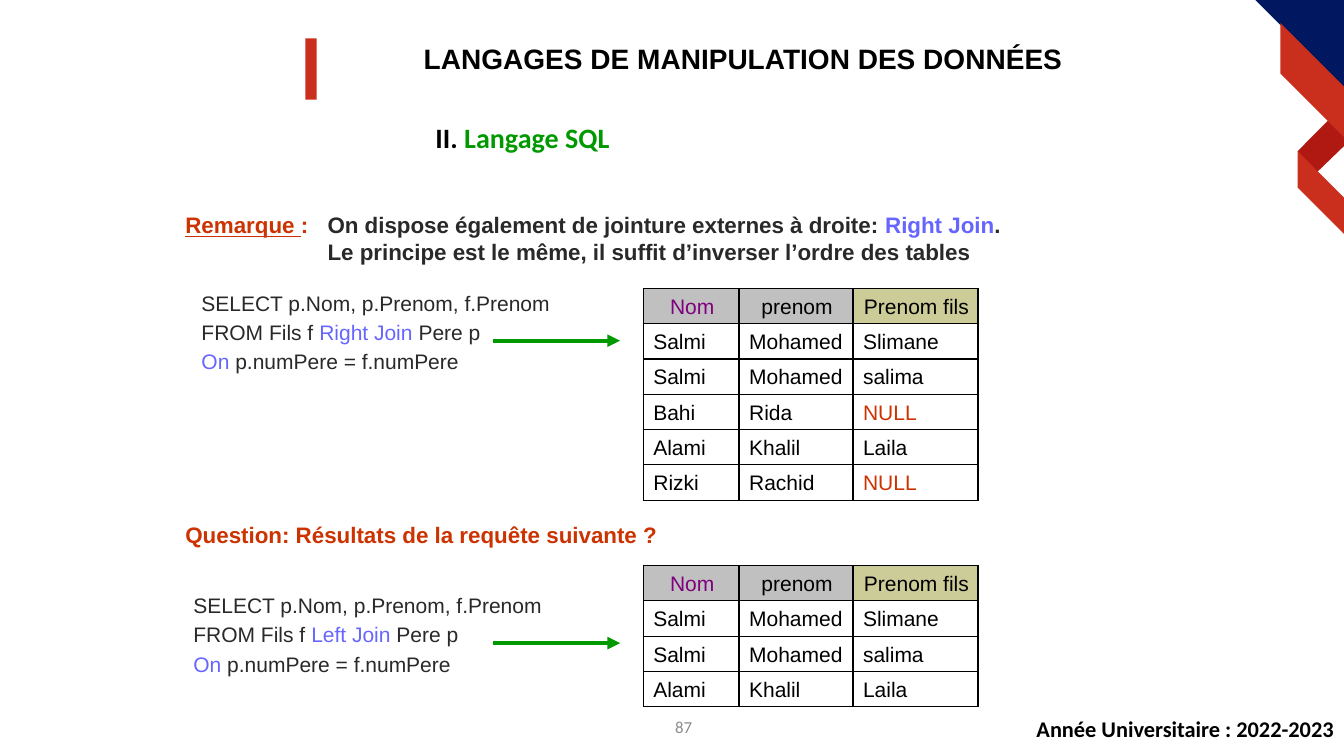
from dataclasses import dataclass

from lxml import etree
from pptx import Presentation
from pptx import util as u
from pptx.dml.color import RGBColor
from pptx.enum import shapes, text
from pptx.oxml import parse_xml
from pptx.oxml.ns import nsdecls, qn


@dataclass
class Theme:
    black: str = "000000"
    white: str = "FFFFFF"
    dark: str = "292929"
    grey: str = "8C8C8C"
    green: str = "009900"
    keyword: str = "6666FF"
    alert: str = "CC3300"
    purple: str = "800080"
    header: str = "C0C0C0"
    header_son: str = "CCCC99"
    navy: str = "011760"
    red: str = "CA2F1D"
    deep_red: str = "B01912"
    heading: int = 20
    body: int = 16
    code: int = 15
    small: int = 12
    sans: str = "Arial"
    foot: str = "Calibri"


class SlideBuilder:
    def __init__(self, prs, theme):
        self.t = theme
        self.s = prs.slides.add_slide(prs.slide_layouts[6])

    def paint(self, sp, color):
        sp.shadow.inherit = False
        sp.fill.solid()
        sp.fill.fore_color.rgb = RGBColor.from_string(color)
        sp.line.fill.background()

    def polygon(self, points, color):
        points = [(u.Inches(x), u.Inches(y)) for x, y in points]
        fb = self.s.shapes.build_freeform(*points[0])
        fb.add_line_segments(points[1:], close=True)
        self.paint(fb.convert_to_shape(), color)

    def bar(self, box, color):
        sp = self.s.shapes.add_shape(shapes.MSO_SHAPE.RECTANGLE, *map(u.Inches, box))
        self.paint(sp, color)

    def runs(self, p, parts, **base):
        """Each part is (text, color) or (text, color, extra font values)."""
        for words, color, *extra in parts:
            r = p.add_run()
            r.text = words
            for name, value in {**base, **(extra[0] if extra else {})}.items():
                setattr(r.font, name, value)
            r.font.color.rgb = RGBColor.from_string(color)

    def text(self, box, lines, size, font=None, bold=False, anchor="TOP", hang=None, **fmt):
        tf = self.s.shapes.add_textbox(*map(u.Inches, box)).text_frame
        tf.word_wrap = True
        tf.vertical_anchor = text.MSO_ANCHOR[anchor]
        for i, parts in enumerate(lines):
            p = tf.paragraphs[0] if i == 0 else tf.add_paragraph()
            for name, value in fmt.items():
                if i or name != "space_before":
                    setattr(p, name, value)
            if hang:
                pPr = p._p.get_or_add_pPr()
                pPr.set("marL", str(u.Inches(hang)))
                pPr.set("indent", str(0 if i else -u.Inches(hang)))
            self.runs(p, parts, size=u.Pt(size), name=font or self.t.sans, bold=bold)

    def query(self, left, top, join):
        t = self.t
        lines = [
            [("SELECT p.Nom, p.Prenom, f.Prenom", t.dark)],
            [("FROM Fils f ", t.dark), (join + " ", t.keyword), ("Pere p", t.dark)],
            [("On", t.keyword), (" p.numPere = f.numPere", t.dark)],
        ]
        self.text((left, top, 3.86, 1.1), lines, t.code, space_before=u.Pt(3))

    def arrow(self, y):
        ends = map(u.Inches, (4.89, y, 6.15, y))
        c = self.s.shapes.add_connector(shapes.MSO_CONNECTOR.STRAIGHT, *ends)
        c.line.color.rgb = RGBColor.from_string(self.t.green)
        c.line.width = u.Pt(3)
        etree.SubElement(c.line._get_or_add_ln(), qn("a:tailEnd"), type="triangle")
        etree.SubElement(c._element.spPr, qn("a:effectLst"))

    def borders(self, cell):
        for side in ("lnL", "lnR", "lnT", "lnB"):
            cell._tc.get_or_add_tcPr().append(parse_xml(
                f'<a:{side} {nsdecls("a")} w="{u.Pt(1)}"><a:solidFill>'
                f'<a:srgbClr val="{self.t.black}"/></a:solidFill></a:{side}>'))

    def table(self, top, rows):
        t, widths, height = self.t, (0.95, 1.13, 1.24), 0.35
        rows = [("Nom", "prenom", "Prenom fils")] + rows
        box = (6.38, top, sum(widths), height * len(rows))
        tb = self.s.shapes.add_table(len(rows), len(widths), *map(u.Inches, box)).table
        tb.first_row = tb.horz_banding = False
        for col, width in zip(tb.columns, widths):
            col.width = u.Inches(width)
        for i, row in enumerate(rows):
            tb.rows[i].height = u.Inches(height)
            for j, words in enumerate(row):
                cell = tb.cell(i, j)
                self.borders(cell)
                cell.vertical_anchor = text.MSO_ANCHOR.BOTTOM
                cell.margin_right = u.Inches(0.08)
                color, fill = t.black, t.white
                if words == "NULL":
                    color = t.alert
                p = cell.text_frame.paragraphs[0]
                if i == 0:
                    color = t.purple if j == 0 else t.black
                    fill = t.header_son if j == 2 else t.header
                    p.alignment = text.PP_ALIGN.CENTER
                cell.fill.solid()
                cell.fill.fore_color.rgb = RGBColor.from_string(fill)
                self.runs(p, [(words, color)], size=u.Pt(t.code), name=t.sans)


def main():
    prs = Presentation()
    prs.slide_width, prs.slide_height = u.Inches(13.33), u.Inches(7.5)
    t = Theme()
    b = SlideBuilder(prs, t)
    center, right = text.PP_ALIGN.CENTER, text.PP_ALIGN.RIGHT

    # Corner ribbon
    b.polygon([(13.19, 1.18), (13.33, 1.35), (13.33, 1.45), (13.05, 1.72), (12.87, 1.5)],
              t.deep_red)
    b.polygon([(12.45, 0), (13.33, 0), (13.33, 0.88)], t.navy)
    for x, y, depth in ((12.87, 1.5, 0.36), (12.7, 0.23, 0.5)):
        drop = 13.33 - x
        b.polygon([(x, y), (13.33, y + drop), (13.33, y + drop + depth), (x, y + depth)], t.red)

    # Title and section
    b.bar((3.03, 0.38, 0.11, 0.61), t.red)
    b.text((3.42, 0.4, 7.9, 0.65), [[("LANGAGES DE MANIPULATION DES DONNÉES", t.black)]],
           t.heading, bold=True, alignment=center, line_spacing=0.9)
    b.text((4.22, 1.18, 5, 0.42), [[("II. ", t.black), ("Langage SQL", t.green)]],
           t.heading, t.foot, bold=True, line_spacing=0.9)

    # Footer
    b.text((9.33, 7.08, 4, 0.36), [[("Année Universitaire : 2022-2023", t.black)]],
           t.body, t.foot, bold=True, alignment=right, line_spacing=0.9)
    b.text((5.28, 7.01, 3, 0.4), [[("87", t.grey)]], t.small, t.foot,
           anchor="MIDDLE", alignment=center)

    # Remark on right joins
    b.text((1.74, 2.05, 8.69, 0.56), [
        [("Remarque ", t.alert, {"underline": True}), (":\t", t.alert),
         ("On dispose également de jointure externes à droite: ", t.dark),
         ("Right Join", t.keyword), (".", t.dark)],
        [("Le principe est le même, il suffit d’inverser l’ordre des tables", t.dark)],
    ], t.body, bold=True, hang=1.41)
    slimane, salima = ("Salmi", "Mohamed", "Slimane"), ("Salmi", "Mohamed", "salima")
    laila = ("Alami", "Khalil", "Laila")
    b.query(1.9, 2.83, "Right Join")
    b.arrow(3.38)
    b.table(2.86, [slimane, salima, ("Bahi", "Rida", "NULL"), laila,
                   ("Rizki", "Rachid", "NULL")])

    # Question on left joins
    b.text((1.74, 5.12, 8.82, 0.47),
           [[("Question: Résultats de la requête suivante ?", t.alert)]], t.body, bold=True)
    b.query(1.82, 5.83, "Left Join")
    b.arrow(6.38)
    b.table(5.61, [slimane, salima, laila])

    prs.save("out.pptx")


if __name__ == "__main__":
    main()
